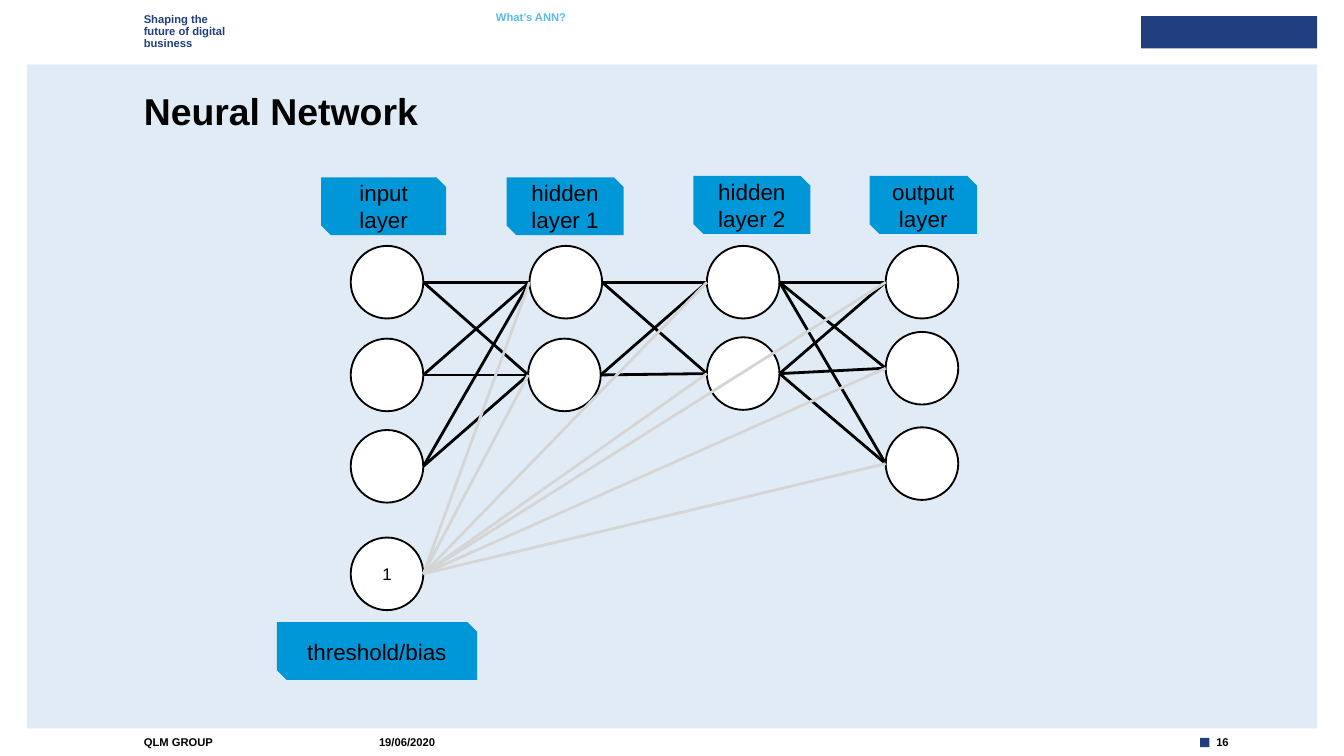
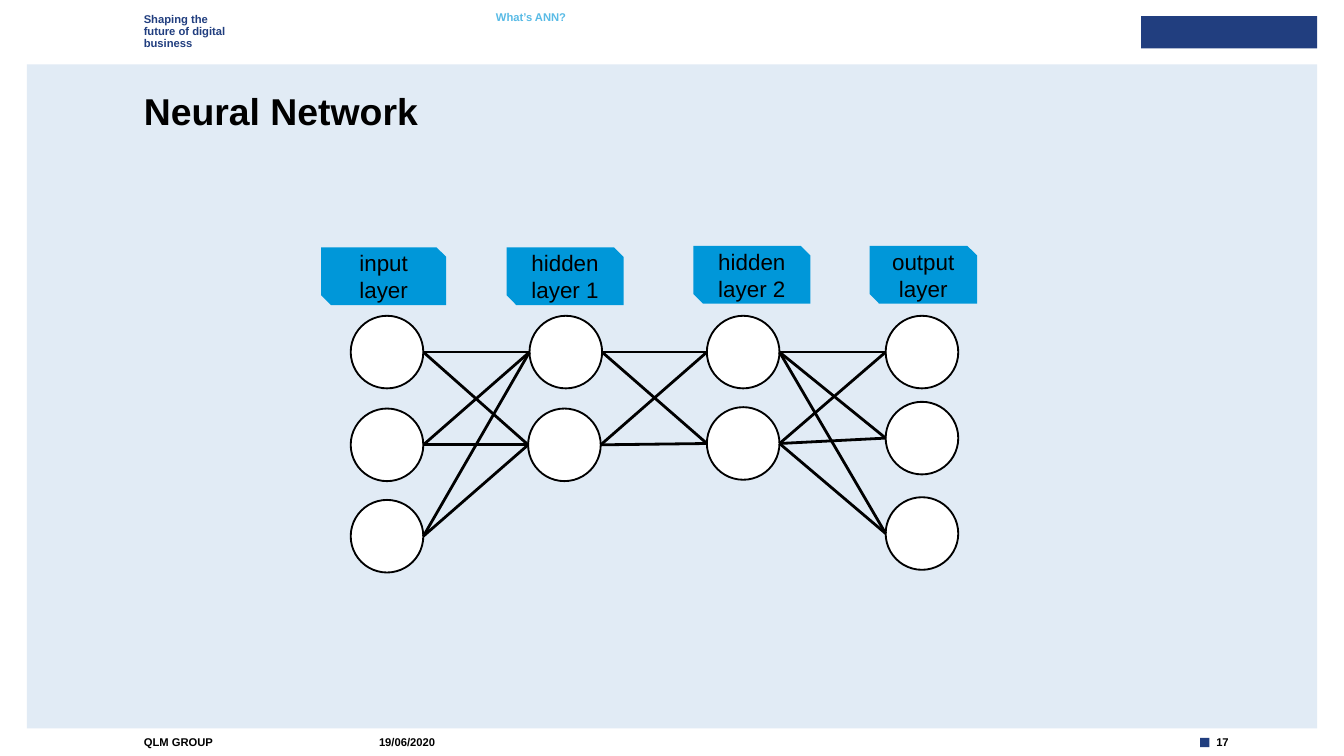
from copy import deepcopy
from dataclasses import dataclass
from itertools import pairwise, product

from lxml import etree
from pptx import Presentation
from pptx.dml.color import RGBColor
from pptx.enum.shapes import MSO_CONNECTOR, MSO_SHAPE
from pptx.enum.text import MSO_ANCHOR, PP_ALIGN
from pptx.oxml.ns import qn
from pptx.util import Inches, Pt

RECTANGLE = MSO_SHAPE.RECTANGLE
CIRCLE = MSO_SHAPE.OVAL
SNIPPED = MSO_SHAPE.SNIP_2_DIAG_RECTANGLE
STRAIGHT = MSO_CONNECTOR.STRAIGHT
LEFT, CENTER = PP_ALIGN.LEFT, PP_ALIGN.CENTER
TOP, MIDDLE = MSO_ANCHOR.TOP, MSO_ANCHOR.MIDDLE


@dataclass(frozen=True)
class Theme:
    font: str = "Arial"
    black: str = "000000"
    white: str = "FFFFFF"
    navy: str = "213E7F"
    sky: str = "59BBE6"
    panel: str = "E1EBF5"
    label: str = "0097D9"
    bias: str = "D5D5D5"
    title_size: float = 20
    label_size: float = 12
    node_size: float = 9
    small_size: float = 6
    outline: float = 1
    link: float = 1.5


THEME = Theme()

TITLE = "Neural Network"
SECTION = "What’s ANN?"
SLOGAN = "Shaping the\vfuture of digital\vbusiness"
COMPANY = "QLM GROUP"
DATE = "19/06/2020"

LAYERS = [
    {"label": "input layer", "box": (2.39, 1.32, 0.93),
     "nodes": [(2.61, 1.83), (2.61, 2.52), (2.61, 3.2)]},
    {"label": "hidden layer 1", "box": (3.77, 1.32, 0.87),
     "nodes": [(3.94, 1.83), (3.93, 2.52)]},
    {"label": "hidden layer 2", "box": (5.16, 1.31, 0.87),
     "nodes": [(5.26, 1.83), (5.26, 2.51)]},
    {"label": "output\nlayer", "box": (6.47, 1.31, 0.8),
     "nodes": [(6.59, 1.83), (6.59, 2.47), (6.59, 3.18)]},
]
BIAS = {"label": "threshold/bias", "box": (2.06, 4.63, 1.49),
        "node": (2.61, 4), "value": "1"}

SLIDES = [
    {"number": "16", "drop": 0, "bias": BIAS},
    {"number": "17", "drop": 0.52, "bias": None},
]

NODE = 0.54
LABEL_HEIGHT = 0.43
LABEL_INSET = 0.12
TEXT_LEFT = 1.07
FOOTER_TOP, FOOTER_HEIGHT = 5.47, 0.1


def write(shape, text, *, size, color=THEME.black, bold=False, align=LEFT,
          anchor=TOP, inset=0, spacing=None, wrap=True):
    frame = shape.text_frame
    frame.word_wrap = wrap
    frame.vertical_anchor = anchor
    frame.margin_left = frame.margin_right = Inches(inset)
    frame.margin_top = frame.margin_bottom = Inches(inset)
    frame.text = text
    for para in frame.paragraphs:
        para.alignment = align
        if spacing:
            para.line_spacing = spacing
        for span in para.runs:
            span.font.name = THEME.font
            span.font.size = Pt(size)
            span.font.bold = bold
            span.font.color.rgb = RGBColor.from_string(color)
        for line_break in para._p.findall(qn("a:br")):
            line_break.append(deepcopy(para.runs[0].font._element))


def add_text(page, text, left, top, width, height, **style):
    box = page.shapes.add_textbox(*map(Inches, (left, top, width, height)))
    write(box, text, **style)


def add_block(page, kind, left, top, width, height, fill, outline=None):
    shape = page.shapes.add_shape(kind, *map(Inches, (left, top, width, height)))
    shape.shadow.inherit = False
    shape.fill.solid()
    shape.fill.fore_color.rgb = RGBColor.from_string(fill)
    if outline:
        shape.line.color.rgb = RGBColor.from_string(outline)
        shape.line.width = Pt(THEME.outline)
    else:
        shape.line.fill.background()
    return shape


def add_label(page, text, box, drop):
    left, top, width = box
    label = add_block(page, SNIPPED, left, top + drop, width, LABEL_HEIGHT, THEME.label)
    write(label, text, size=THEME.label_size, align=CENTER, anchor=MIDDLE,
          inset=LABEL_INSET)


def add_node(page, place, drop):
    left, top = place
    return add_block(page, CIRCLE, left, top + drop, NODE, NODE,
                     THEME.white, THEME.black)


def link_nodes(page, source, target, color):
    line = page.shapes.add_connector(
        STRAIGHT, source.left + source.width, source.top + source.height // 2,
        target.left, target.top + target.height // 2)
    line.line.color.rgb = RGBColor.from_string(color)
    line.line.width = Pt(THEME.link)
    etree.SubElement(line._element.spPr, qn("a:effectLst"))


def add_frame(page, number):
    small = {"size": THEME.small_size, "bold": True}
    footer = {**small, "anchor": MIDDLE}
    add_block(page, RECTANGLE, 0.2, 0.48, 9.6, 4.94, THEME.panel)
    add_block(page, RECTANGLE, 8.49, 0.12, 1.31, 0.24, THEME.navy)
    add_block(page, RECTANGLE, 8.93, 5.49, 0.07, 0.07, THEME.navy)
    add_text(page, SLOGAN, TEXT_LEFT, 0.1, 0.87, 0.27, color=THEME.navy,
             spacing=0.9, **small)
    add_text(page, SECTION, 3.69, 0.09, 0.79, 0.27, color=THEME.sky,
             spacing=0.9, **small)
    add_text(page, COMPANY, TEXT_LEFT, FOOTER_TOP, 1.72, FOOTER_HEIGHT, **footer)
    for text, left, width in ((DATE, 2.82, 0.42), (number, 9.05, 0.17)):
        add_text(page, text, left, FOOTER_TOP, width, FOOTER_HEIGHT,
                 wrap=False, **footer)

    title = page.shapes.title
    title.left, title.top = Inches(TEXT_LEFT), Inches(0.69)
    title.width, title.height = Inches(7.86), Inches(0.3)
    write(title, TITLE, size=THEME.title_size, bold=True, spacing=0.9)
    page.shapes._spTree.append(title._element)


def add_network(page, drop, bias):
    columns = []
    for layer in LAYERS:
        add_label(page, layer["label"], layer["box"], drop)
        columns.append([add_node(page, place, drop) for place in layer["nodes"]])
    for sources, targets in pairwise(columns):
        for source, target in product(sources, targets):
            link_nodes(page, source, target, THEME.black)

    if bias:
        add_label(page, bias["label"], bias["box"], drop)
        bias_node = add_node(page, bias["node"], drop)
        write(bias_node, bias["value"], size=THEME.node_size, align=CENTER,
              anchor=MIDDLE, inset=LABEL_INSET)
        for targets in columns[1:]:
            for target in targets:
                link_nodes(page, bias_node, target, THEME.bias)


def main():
    deck = Presentation()
    deck.slide_width = Inches(10)
    deck.slide_height = deck.slide_width * 9 // 16
    title_only = deck.slide_layouts[5]
    for content in SLIDES:
        page = deck.slides.add_slide(title_only)
        add_frame(page, content["number"])
        add_network(page, content["drop"], content["bias"])
    deck.save("out.pptx")


if __name__ == "__main__":
    main()
